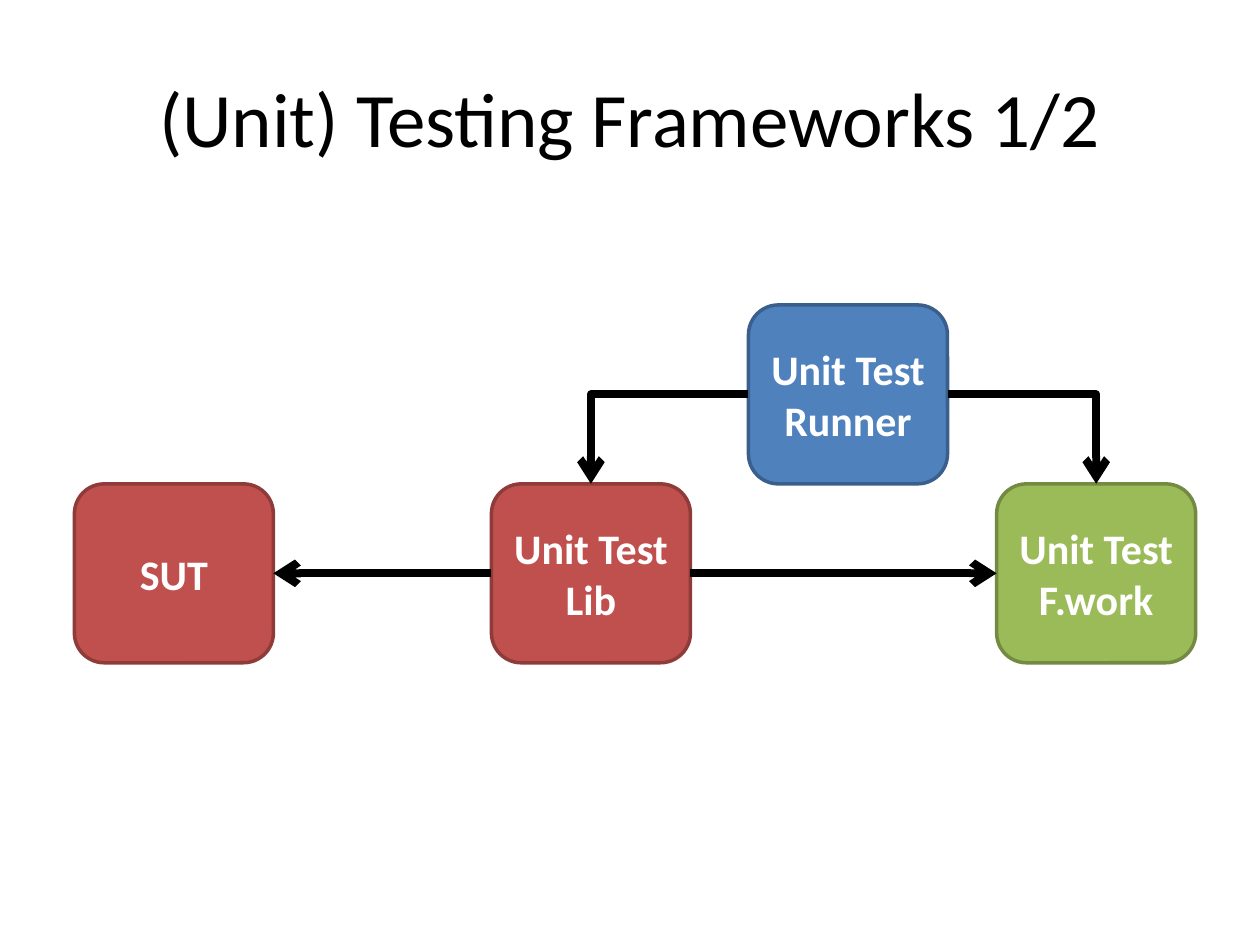
from lxml import etree
from pptx import Presentation
from pptx import util as u
from pptx.dml.color import RGBColor
from pptx.enum import shapes, text
from pptx.oxml import ns

BLACK = RGBColor(0x00, 0x00, 0x00)
WHITE = RGBColor(0xFF, 0xFF, 0xFF)
RED, DARK_RED = RGBColor(0xC0, 0x50, 0x4D), RGBColor(0x8E, 0x3B, 0x39)
BLUE, DARK_BLUE = RGBColor(0x4F, 0x81, 0xBD), RGBColor(0x3A, 0x5F, 0x8C)
GREEN, DARK_GREEN = RGBColor(0x9B, 0xBB, 0x59), RGBColor(0x73, 0x8A, 0x42)

TOP, LEFT, RIGHT = 0, 1, 3
BOX_W, BOX_H = 1.58, 1.42
UPPER_ROW, LOWER_ROW = 2.42, 3.84


class Diagram:
    font = "Calibri"

    def __init__(self, slide):
        self.s = slide

    def label(self, tf, words, size, color, bold=False):
        tf.word_wrap = True
        tf.vertical_anchor = text.MSO_ANCHOR.MIDDLE
        p = tf.paragraphs[0]
        p.alignment = text.PP_ALIGN.CENTER
        r = p.add_run()
        r.text = words
        r.font.name = self.font
        r.font.size = u.Pt(size)
        r.font.bold = bold
        r.font.color.rgb = color

    def title(self, words):
        sp = self.s.shapes.title
        sp.left, sp.top = u.Inches(0.5), u.Inches(0.3)
        sp.width, sp.height = u.Inches(9), u.Inches(1.25)
        self.label(sp.text_frame, words, 44, BLACK)

    def box(self, words, left, top, fill, line):
        sp = self.s.shapes.add_shape(
            shapes.MSO_SHAPE.ROUNDED_RECTANGLE,
            u.Inches(left), u.Inches(top), u.Inches(BOX_W), u.Inches(BOX_H))
        sp.shadow.inherit = False
        sp.fill.solid()
        sp.fill.fore_color.rgb = fill
        sp.line.color.rgb = line
        sp.line.width = u.Pt(2)
        self.label(sp.text_frame, words, 24, WHITE, bold=True)
        return sp

    def arrow(self, start, start_site, end, end_site, bent=False):
        kind = shapes.MSO_CONNECTOR.ELBOW if bent else shapes.MSO_CONNECTOR.STRAIGHT
        c = self.s.shapes.add_connector(kind, 0, 0, 0, 0)
        c.begin_connect(start, start_site)
        c.end_connect(end, end_site)
        c.line.color.rgb = BLACK
        c.line.width = u.Pt(4.5)
        sp_pr = c._element.spPr
        if bent:
            sp_pr.find(ns.qn("a:prstGeom")).set("prst", "bentConnector2")
        tail = etree.SubElement(sp_pr.find(ns.qn("a:ln")), ns.qn("a:tailEnd"))
        tail.set("type", "arrow")
        etree.SubElement(sp_pr, ns.qn("a:effectLst"))


def main():
    prs = Presentation()
    prs.slide_width, prs.slide_height = u.Inches(10), u.Inches(7.5)
    d = Diagram(prs.slides.add_slide(prs.slide_layouts[5]))

    d.title("(Unit) Testing Frameworks 1/2")
    sut = d.box("SUT", 0.59, LOWER_ROW, RED, DARK_RED)
    lib = d.box("Unit Test Lib", 3.9, LOWER_ROW, RED, DARK_RED)
    runner = d.box("Unit Test Runner", 5.94, UPPER_ROW, BLUE, DARK_BLUE)
    framework = d.box("Unit Test F.work", 7.91, LOWER_ROW, GREEN, DARK_GREEN)

    d.arrow(lib, LEFT, sut, RIGHT)
    d.arrow(lib, RIGHT, framework, LEFT)
    d.arrow(runner, LEFT, lib, TOP, bent=True)
    d.arrow(runner, RIGHT, framework, TOP, bent=True)

    prs.save("out.pptx")


if __name__ == "__main__":
    main()
